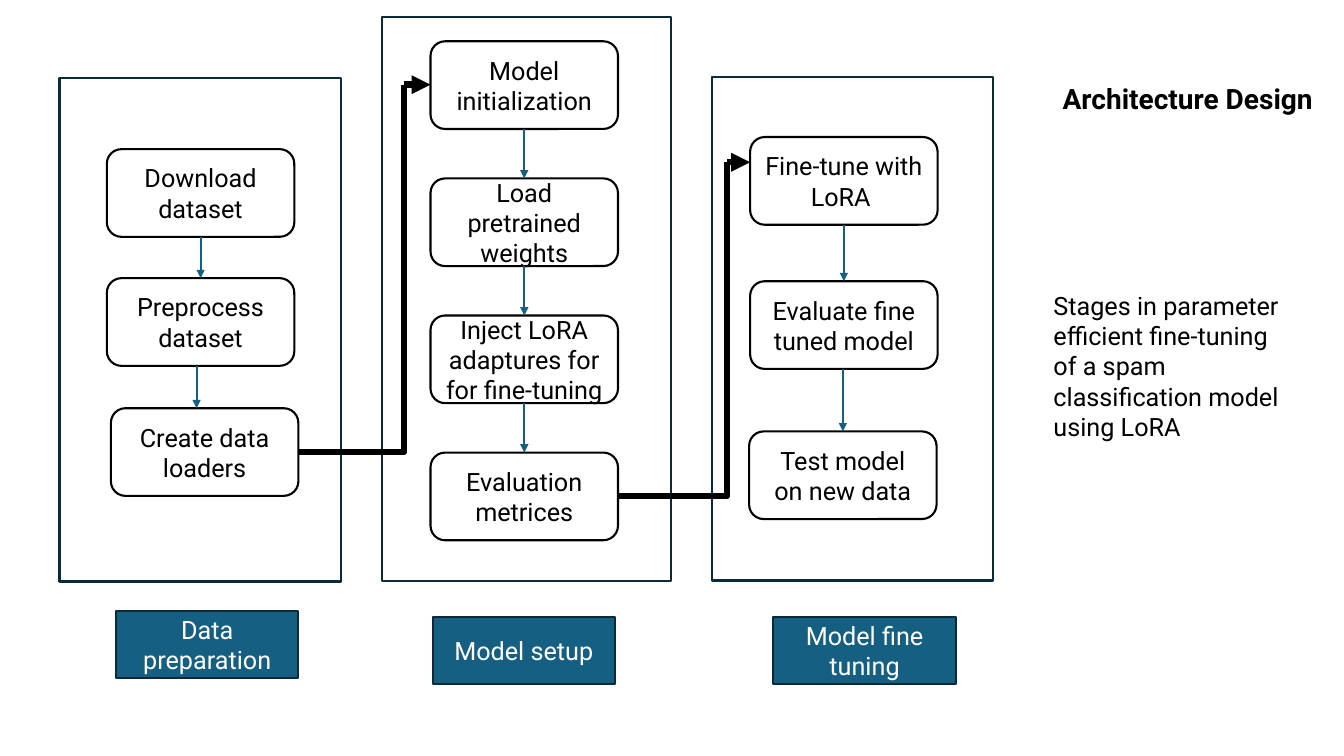
from lxml import etree
from pptx import Presentation
from pptx.dml.color import RGBColor
from pptx.enum.shapes import MSO_CONNECTOR, MSO_SHAPE
from pptx.enum.text import MSO_ANCHOR, PP_ALIGN
from pptx.oxml.ns import qn
from pptx.util import Inches, Pt

FONT = "Roboto"
COLORS = {"black": "000000", "white": "FFFFFF", "teal": "156082", "navy": "092A39"}
STEP_W, STEP_H = 1.86, 0.87
LABEL_W, LABEL_H = 1.81, 0.67

# Each step: text, left, top. Arrows: x of the arrow below each step but the last.
STAGES = [
    {
        "frame": (0.59, 0.77, 2.79, 5),
        "label": ("Data preparation", 1.15, 6.06),
        "steps": [("Download dataset", 1.06, 1.48),
                  ("Preprocess dataset", 1.06, 2.76),
                  ("Create data loaders", 1.1, 4.05)],
        "arrows": [1.99, 1.95],
    },
    {
        "frame": (3.79, 0.17, 2.87, 5.59),
        "label": ("Model setup", 4.29, 6.12),
        "steps": [("Model initialization", 4.27, 0.41),
                  ("Load pretrained weights", 4.27, 1.77),
                  ("Inject LoRA adaptures for for fine-tuning", 4.27, 3.13),
                  ("Evaluation metrices", 4.27, 4.49)],
        "arrows": [5.2, 5.2, 5.2],
    },
    {
        "frame": (7.06, 0.76, 2.79, 5),
        "label": ("Model fine tuning", 7.67, 6.12),
        "steps": [("Fine-tune with LoRA ", 7.44, 1.36),
                  ("Evaluate fine tuned model", 7.44, 2.79),
                  ("Test model on new data", 7.43, 4.28)],
        "arrows": [8.37, 8.36],
    },
]
# Stage links: x of the turn, y where the link enters the next stage
LINKS = [(4.01, 0.84), (7.21, 1.61)]
# Free text: words, box, size, bold
TEXTS = [
    ("Stages in parameter efficient fine-tuning of a spam classification model using LoRA",
     (10.35, 2.83, 2.61, 1.31), 18, False),
    ("Architecture Design", (10.44, 0.76, 2.79, 0.44), 20, True),
]


def rgb(name):
    return RGBColor.from_string(COLORS[name])


def write(tf, text, color, size=18, bold=False, align=PP_ALIGN.LEFT):
    tf.word_wrap = True
    p = tf.paragraphs[0]
    p.alignment = align
    r = p.add_run()
    r.text = text
    r.font.name, r.font.size, r.font.bold = FONT, Pt(size), bold
    r.font.color.rgb = rgb(color)


def add_box(slide, kind, box, line, fill=None, text=None, color="black"):
    sp = slide.shapes.add_shape(kind, *map(Inches, box))
    sp.shadow.inherit = False
    sp.line.color.rgb = rgb(line)
    sp.line.width = Pt(1.5)
    if fill:
        sp.fill.solid()
        sp.fill.fore_color.rgb = rgb(fill)
    else:
        sp.fill.background()
    if text:
        sp.text_frame.vertical_anchor = MSO_ANCHOR.MIDDLE
        write(sp.text_frame, text, color, align=PP_ALIGN.CENTER)


def add_line(slide, start, end, color, width, arrow=True, bent=False):
    kind = MSO_CONNECTOR.ELBOW if bent else MSO_CONNECTOR.STRAIGHT
    c = slide.shapes.add_connector(kind, *map(Inches, start + end))
    c.line.color.rgb = rgb(color)
    c.line.width = Pt(width)
    sp_pr = c._element.spPr
    if bent:  # a single turn instead of the default two
        sp_pr.find(qn("a:prstGeom")).set("prst", "bentConnector2")
    if arrow:
        etree.SubElement(sp_pr.find(qn("a:ln")), qn("a:tailEnd"), type="triangle")
    etree.SubElement(sp_pr, qn("a:effectLst"))


def add_stage(slide, stage):
    add_box(slide, MSO_SHAPE.RECTANGLE, stage["frame"], "navy")
    steps = stage["steps"]
    for text, x, y in steps:
        add_box(slide, MSO_SHAPE.ROUNDED_RECTANGLE, (x, y, STEP_W, STEP_H),
                "black", "white", text)
    for x, upper, lower in zip(stage["arrows"], steps, steps[1:]):
        add_line(slide, (x, upper[2] + STEP_H), (x, lower[2]), "teal", 1.5)
    text, x, y = stage["label"]
    add_box(slide, MSO_SHAPE.RECTANGLE, (x, y, LABEL_W, LABEL_H),
            "navy", "teal", text, "white")


def main():
    prs = Presentation()
    prs.slide_width, prs.slide_height = Inches(13.33), Inches(7.5)
    slide = prs.slides.add_slide(prs.slide_layouts[6])

    for stage in STAGES:
        add_stage(slide, stage)

    for (turn_x, entry_y), source, target in zip(LINKS, STAGES, STAGES[1:]):
        _, x, y = source["steps"][-1]
        turn = (turn_x, entry_y)
        add_line(slide, (x + STEP_W, y + STEP_H / 2), turn, "black", 4.5,
                 arrow=False, bent=True)
        add_line(slide, turn, (target["steps"][0][1], entry_y), "black", 4.5)

    for text, box, size, bold in TEXTS:
        tb = slide.shapes.add_textbox(*map(Inches, box))
        write(tb.text_frame, text, "black", size, bold)

    prs.save("out.pptx")


if __name__ == "__main__":
    main()
